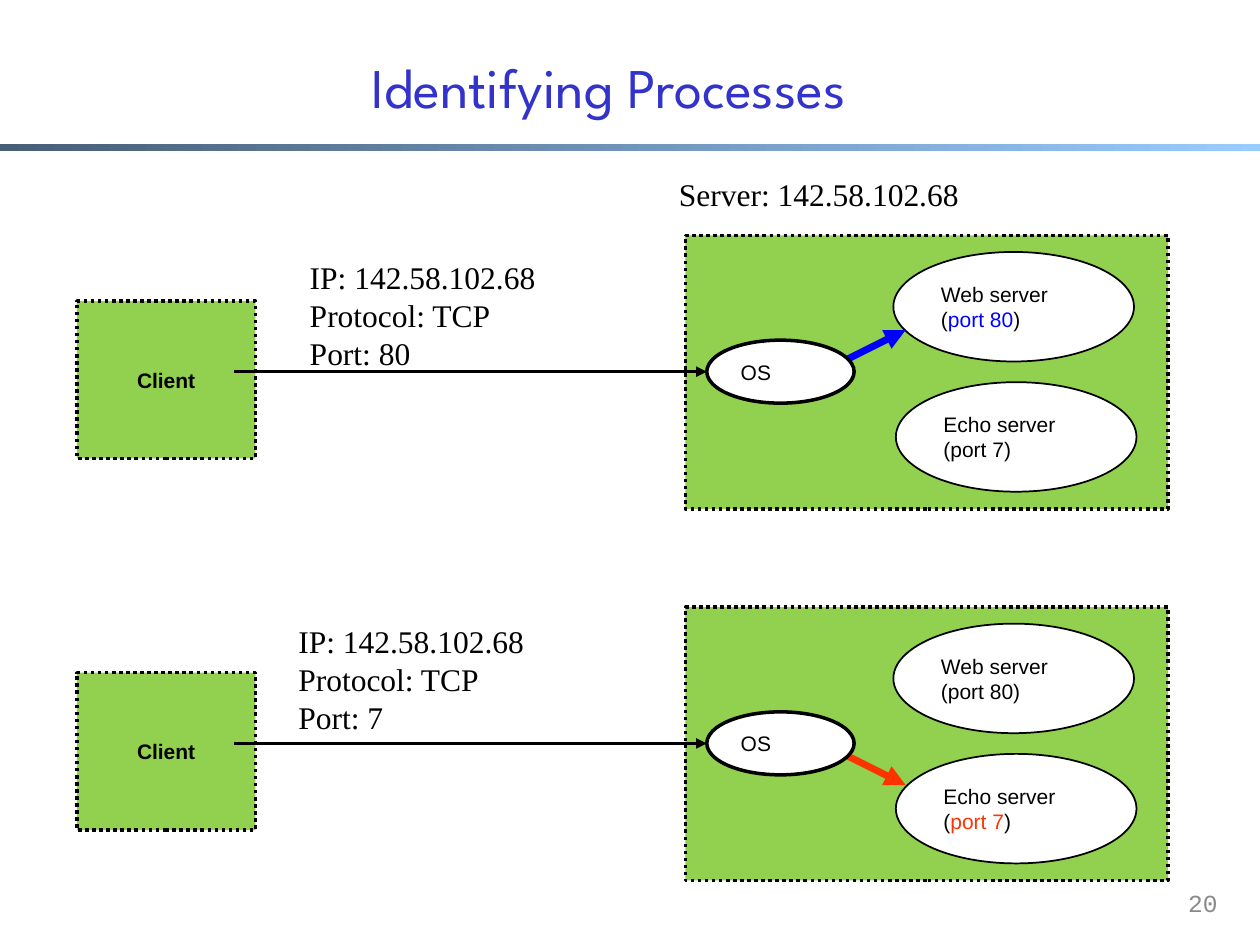
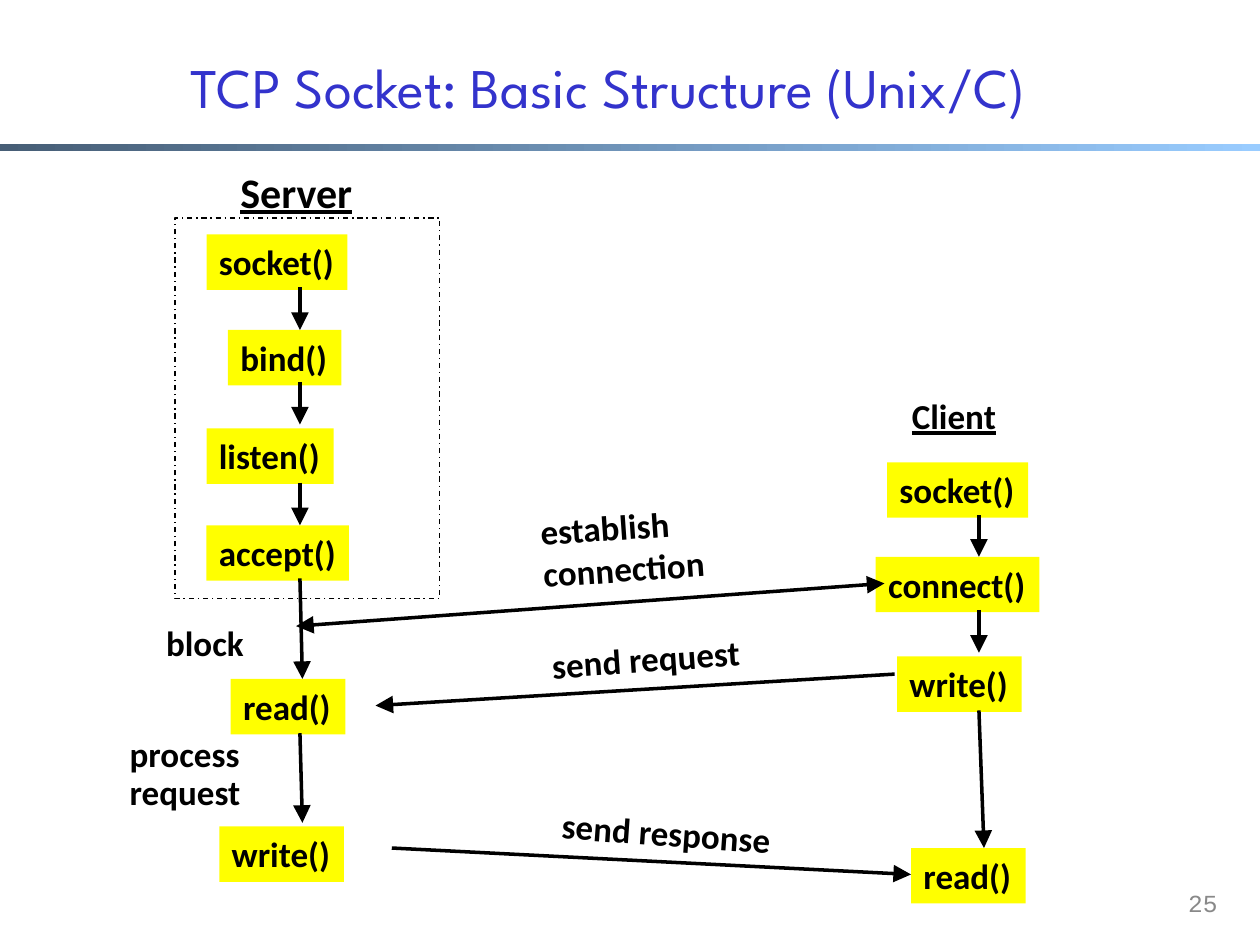
import pptx
import pptx.dml.color
import pptx.enum.dml
import pptx.enum.shapes
import pptx.enum.text
import pptx.oxml.ns
import pptx.util
from lxml import etree

Pt = pptx.util.Pt
RGBColor = pptx.dml.color.RGBColor
SHAPE = pptx.enum.shapes.MSO_SHAPE
DASH = pptx.enum.dml.MSO_LINE
ALIGN = pptx.enum.text.PP_ALIGN
ANCHOR = pptx.enum.text.MSO_ANCHOR
FIT = pptx.enum.text.MSO_AUTO_SIZE

BLACK = RGBColor(0x00, 0x00, 0x00)
WHITE = RGBColor(0xFF, 0xFF, 0xFF)
TITLE_BLUE = RGBColor(0x33, 0x33, 0xCC)
BAND_DARK = RGBColor(0x47, 0x5E, 0x76)
BAND_LIGHT = RGBColor(0x99, 0xCC, 0xFF)
PAGE_GREY = RGBColor(0x89, 0x89, 0x89)
HOST_GREEN = RGBColor(0x92, 0xD0, 0x50)
CALL_YELLOW = RGBColor(0xFF, 0xFF, 0x00)
WEB_BLUE = RGBColor(0x00, 0x00, 0xFF)
ECHO_RED = RGBColor(0xFF, 0x33, 0x00)

CALL_HEIGHT = 31.7
SCENE_STEP = 212.4


class Deck:
    """Holds the shared style and the slide being drawn."""

    def __init__(self):
        self.presentation = pptx.Presentation()
        self.presentation.slide_width = Pt(720)
        self.presentation.slide_height = Pt(540)
        self.slide = None

    def start(self, title, page):
        """Begin a slide with its band, title and page number."""
        blank = self.presentation.slide_layouts[6]
        self.slide = self.presentation.slides.add_slide(blank)
        band = self.shape(SHAPE.RECTANGLE, (0, 82.1, 720, 4.2))
        band.fill.gradient()
        band.fill.gradient_angle = 0
        for stop, color in zip(band.fill.gradient_stops, (BAND_DARK, BAND_LIGHT)):
            stop.color.rgb = color
        heading = self.text((42, 11, 612, 76), title, 32, "League Spartan",
                            color=TITLE_BLUE, align=ALIGN.CENTER, wrap=True)
        heading.text_frame.vertical_anchor = ANCHOR.MIDDLE
        self.text((653.8, 504, 49, 36), page, 14, "Courier New",
                  color=PAGE_GREY, align=ALIGN.RIGHT, wrap=True)

    def shape(self, kind, box, fill=None, line=None, dash=None):
        shape = self.slide.shapes.add_shape(kind, *map(Pt, box))
        shape.shadow.inherit = False
        if fill is None:
            shape.fill.background()
        else:
            shape.fill.solid()
            shape.fill.fore_color.rgb = fill
        if line is None:
            shape.line.fill.background()
        else:
            shape.line.color.rgb = BLACK
            shape.line.width = Pt(line)
            if dash is not None:
                shape.line.dash_style = dash
        return shape

    def caption(self, shape, text, size, font, color=BLACK, bold=False,
                underline=False, align=ALIGN.LEFT, wrap=False, spacing=None,
                accent=None):
        """Fill a shape with text; accent is a (words, colour) pair."""
        frame = shape.text_frame
        frame.text = text
        frame.word_wrap = wrap
        for paragraph in frame.paragraphs:
            paragraph.alignment = align
            if spacing:
                paragraph.line_spacing = spacing
            if accent and accent[0] in paragraph.text:
                before, words, after = paragraph.text.partition(accent[0])
                paragraph.text = before
                for part in (words, after):
                    paragraph.add_run().text = part
            for run in paragraph.runs:
                run.font.name = font
                run.font.size = Pt(size)
                run.font.bold = bold
                run.font.underline = underline
                accented = accent and run.text == accent[0]
                run.font.color.rgb = accent[1] if accented else color

    def text(self, box, text, size, font, turn=0, **style):
        label = self.slide.shapes.add_textbox(*map(Pt, box))
        self.caption(label, text, size, font, **style)
        label.rotation = turn
        return label

    def label(self, box, text, size=20, **style):
        """Bold label that fits its text."""
        label = self.text(box, text, size, "Calibri", bold=True, **style)
        label.text_frame.auto_size = FIT.SHAPE_TO_FIT_TEXT

    def call(self, name, left, top, width):
        """Yellow box with a socket function."""
        box = self.shape(SHAPE.RECTANGLE, (left, top, width, CALL_HEIGHT), CALL_YELLOW)
        self.caption(box, name, 20, "Calibri", bold=True)
        box.text_frame.vertical_anchor = ANCHOR.TOP
        box.text_frame.auto_size = FIT.SHAPE_TO_FIT_TEXT

    def node(self, kind, box, text, fill, line, dash=None, **style):
        """Host or process with a small caption."""
        node = self.shape(kind, box, fill, line, dash)
        self.caption(node, text, 12, "Arial", **style)
        node.text_frame.vertical_anchor = ANCHOR.MIDDLE

    def arrow(self, x1, y1, x2, y2, color=BLACK, width=2, head="med", both=False):
        arrow = self.slide.shapes.add_connector(
            pptx.enum.shapes.MSO_CONNECTOR.STRAIGHT, Pt(x1), Pt(y1), Pt(x2), Pt(y2))
        arrow.line.color.rgb = color
        arrow.line.width = Pt(width)
        outline = arrow.line._get_or_add_ln()
        for end in ("a:headEnd", "a:tailEnd") if both else ("a:tailEnd",):
            etree.SubElement(outline, pptx.oxml.ns.qn(end),
                             type="triangle", w=head, len=head)
        etree.SubElement(arrow._element.spPr, pptx.oxml.ns.qn("a:effectLst"))


def request_scene(deck, dy, port, request_at, route, accent):
    """One client request that the server's OS hands to a process."""
    deck.node(SHAPE.RECTANGLE, (44, 172 + dy, 102, 90), "Client", HOST_GREEN, 2,
              DASH.ROUND_DOT, bold=True, align=ALIGN.CENTER)
    deck.shape(SHAPE.RECTANGLE, (391.7, 134.6 + dy, 275.8, 156.2), HOST_GREEN, 2,
               DASH.ROUND_DOT)
    for left, top, process in ((510.5, 144, "Web server\n(port 80)"),
                               (511.9, 218.4, "Echo server\n(port 7)")):
        deck.node(SHAPE.OVAL, (left, top + dy, 137.5, 62.6), process, WHITE, 1,
                  accent=(f"port {port}", accent))
    deck.arrow(133.9, 212.4 + dy, 403.9, 212.4 + dy)
    start, end = route
    deck.arrow(481.5, start + dy, 517.5, end + dy, accent, 4)
    deck.node(SHAPE.OVAL, (403.9, 194.4 + dy, 84.2, 36), "OS", WHITE, 2)
    deck.text((*request_at, 231, 72.7),
              f"IP: 142.58.102.68\nProtocol: TCP\nPort: {port}",
              18, "Times New Roman", wrap=True)


def identifying_processes(deck):
    deck.start("Identifying Processes", "20")
    deck.text((380.9, 96.5, 291.6, 28.8), "Server: 142.58.102.68",
              18, "Times New Roman", wrap=True)
    request_scene(deck, 0, 80, (169.9, 144), (206.6, 188.6), WEB_BLUE)
    request_scene(deck, SCENE_STEP, 7, (163.4, 352.1), (218.2, 236.2), ECHO_RED)


def tcp_socket(deck):
    deck.start("TCP Socket: Basic Structure (Unix/C)", "25")

    # Function calls of the server, then of the client
    calls = (
        ("socket()", 118, 134, 80.6), ("bind()", 130.3, 188.6, 64.8),
        ("listen()", 118, 244.8, 72.7), ("accept()", 118, 300.2, 81.4),
        ("read()", 131.8, 388, 65.5), ("write()", 125.3, 472.3, 71.3),
        ("socket()", 506.9, 264.2, 80.6), ("connect()", 500.4, 318.2, 93.6),
        ("write()", 512.6, 375.1, 71.3), ("read()", 520.6, 484.6, 65.5),
    )
    for call in calls:
        deck.call(*call)
    deck.shape(SHAPE.RECTANGLE, (100, 124.6, 151.2, 217.4), line=0.75,
               dash=DASH.DASH_DOT)

    # Order of the calls
    steps = (
        (171.4, 164.2, 171.4, 188.6), (171.4, 218.2, 171.4, 242.6),
        (171.4, 275.8, 171.4, 300.2), (171.4, 330.5, 172.8, 388),
        (171.4, 419, 172.8, 470.2), (559.4, 294.5, 559.4, 318.2),
        (559.4, 348.5, 559.4, 373), (559.4, 406, 562.3, 484.6),
    )
    # Messages between client and server
    messages = ((511.2, 385.2, 214.6, 403.2), (223.9, 484.6, 520.6, 499.7))
    for ends in steps + messages:
        deck.arrow(*ends, head="lg")
    deck.arrow(505.4, 333.4, 169.2, 357.8, head="lg", both=True)

    # Headings and remarks
    deck.label((130.3, 91.4, 79.2, 36), "Server", 24, underline=True)
    deck.label((514, 221.8, 62.6, CALL_HEIGHT), "Client", underline=True)
    deck.label((87.8, 351.4, 59, CALL_HEIGHT), "block")
    deck.label((67, 417.6, 78.5, 51), "process\nrequest", spacing=0.9)
    deck.label((302.4, 285.1, 108, 55.4), "establish\nconnection", turn=-4)
    deck.label((308.2, 360.7, 123.1, CALL_HEIGHT), "send request", turn=-4)
    deck.label((313.9, 460.1, 135.4, CALL_HEIGHT), "send response", turn=4.1)


def main():
    deck = Deck()
    identifying_processes(deck)
    tcp_socket(deck)
    deck.presentation.save("out.pptx")


if __name__ == "__main__":
    main()
